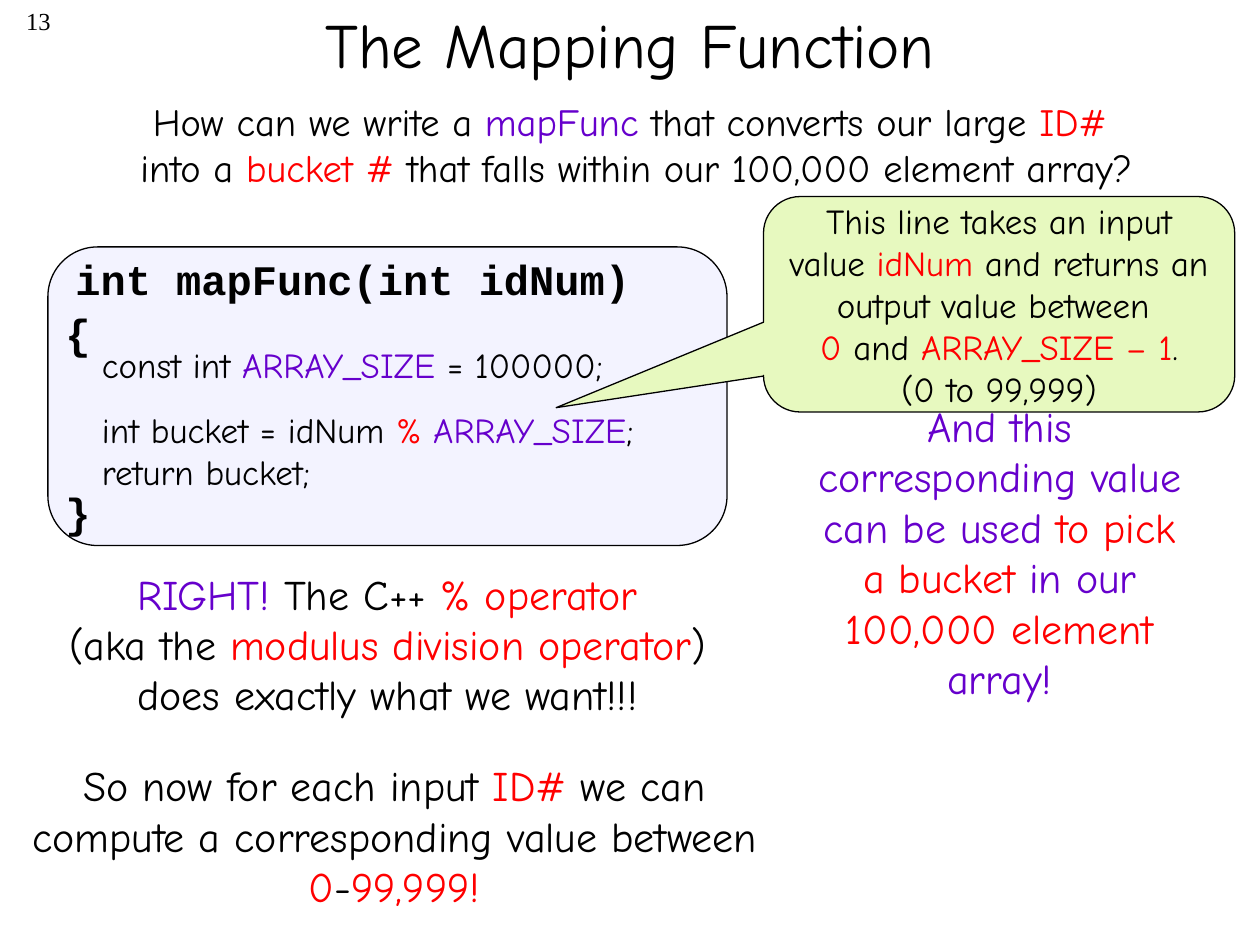
import pptx
import pptx.util
import pptx.dml.color
import pptx.enum.shapes
import pptx.enum.text

Inches = pptx.util.Inches
Pt = pptx.util.Pt
RGBColor = pptx.dml.color.RGBColor
Shape = pptx.enum.shapes.MSO_SHAPE
Align = pptx.enum.text.PP_ALIGN
Anchor = pptx.enum.text.MSO_ANCHOR

BLACK = RGBColor(0, 0, 0)
RED = RGBColor(0xFF, 0, 0)
PURPLE = RGBColor(0x66, 0, 0xCC)
LILAC = RGBColor(0xF3, 0xF3, 0xFF)
LIME = RGBColor(0xE7, 0xF9, 0xBF)
BODY = "Comic Neue"
CODE = "Courier New"
PAGE = "Times New Roman"


def write(frame, size, lines, align=Align.CENTER, face=BODY, bold=False):
    frame.word_wrap = True
    for row, line in enumerate(lines):
        para = frame.add_paragraph() if row else frame.paragraphs[0]
        para.alignment = align
        para.font.size = Pt(size)
        for words, color in line:
            for part, piece in enumerate(words.split("\n")):
                if part:
                    para.add_line_break()
                if piece:
                    run = para.add_run()
                    run.text = piece
                    run.font.name = face
                    run.font.size = Pt(size)
                    run.font.bold = bold
                    run.font.color.rgb = color


def add_text(slide, box, size, lines, **style):
    frame = slide.shapes.add_textbox(*map(Inches, box)).text_frame
    write(frame, size, lines, **style)
    return frame


def add_panel(slide, kind, box, color):
    panel = slide.shapes.add_shape(kind, *map(Inches, box))
    panel.shadow.inherit = False
    panel.fill.solid()
    panel.fill.fore_color.rgb = color
    panel.line.color.rgb = BLACK
    panel.line.width = Pt(0.75)
    return panel


def add_head(slide, box):
    left, top, width, height = box
    add_text(slide, (left, top, 0.5, 0.5), 14, [[("13", BLACK)]],
             align=Align.RIGHT, face=PAGE)
    title = add_text(slide, (left + 0.75, top - 0.28, width - 1.5, 1.25), 36,
                     [[("The Mapping Function", BLACK)]])
    title.vertical_anchor = Anchor.MIDDLE
    add_text(slide, (left + 0.29, top + 0.73, width - 0.48, height - 0.73), 22, [[
        ("How can we write a ", BLACK), ("mapFunc ", PURPLE),
        ("that converts our large ", BLACK), ("ID# \n", RED),
        ("into a ", BLACK), ("bucket # ", RED),
        ("that falls within our 100,000 element array?", BLACK)]])


def add_code(slide, box):
    left, top, width, height = box
    add_panel(slide, Shape.ROUNDED_RECTANGLE, box, LILAC)
    shell = add_text(slide, (left + 0.04, top, width, height), 24,
                     [[("int mapFunc(int idNum)", BLACK)],
                      [("{", BLACK)], [("}", BLACK)]],
                     align=Align.LEFT, face=CODE, bold=True)
    first, start, end = shell.paragraphs
    first._p.get_or_add_pPr().set("indent", str(Inches(0.08)))
    start.space_before = Pt(2)
    end.space_before = Pt(74)
    body = add_text(slide, (left + 0.33, top + 0.72, width, 1.31), 20, [
        [("const int ", BLACK), ("ARRAY_SIZE", PURPLE), (" = 100000;", BLACK)],
        [("int bucket = idNum ", BLACK), ("% ", RED),
         ("ARRAY_SIZE", PURPLE), (";", BLACK)],
        [("return bucket;", BLACK)]], align=Align.LEFT)
    body.paragraphs[1].space_before = Pt(13)


def add_callout(slide, box):
    panel = add_panel(slide, Shape.ROUNDED_RECTANGULAR_CALLOUT, box, LIME)
    for index, value in enumerate((-0.94, 0.48, 0.17)):
        panel.adjustments[index] = value
    panel.text_frame.vertical_anchor = Anchor.MIDDLE
    write(panel.text_frame, 20, [
        [("This line takes an input value ", BLACK), ("idNum", RED),
         (" and returns an output value between \n", BLACK), ("0 ", RED),
         ("and ", BLACK), ("ARRAY_SIZE – 1", RED), (".", BLACK)],
        [("(0 to 99,999)", BLACK)]])


def add_notes(slide, box):
    left, top, width, height = box
    add_text(slide, (left - 0.6, top, width + 1.2, 1.31), 24, [[
        ("RIGHT! ", PURPLE), ("The C++ ", BLACK), ("% operator \n", RED),
        ("(aka the ", BLACK), ("modulus division operator", RED),
        (") \ndoes exactly what we want!!! ", BLACK)]])
    add_text(slide, (left, top + height - 1.31, width, 1.31), 24, [[
        ("So now for each input ", BLACK), ("ID#", RED),
        (" we can compute a corresponding value between ", BLACK),
        ("0", RED), ("-", BLACK), ("99,999!", RED)]])


def add_result(slide, box):
    add_text(slide, box, 24, [[
        ("And this corresponding value can be used ", PURPLE),
        ("to pick a bucket", RED), (" in our ", PURPLE),
        ("100,000 element ", RED), ("array!", PURPLE)]])


def main():
    deck = pptx.Presentation()
    deck.slide_width = Inches(10)
    deck.slide_height = Inches(7.5)
    slide = deck.slides.add_slide(deck.slide_layouts[6])
    add_head(slide, (0, 0, 10, 1.57))
    add_code(slide, (0.38, 1.96, 5.39, 2.37))
    add_notes(slide, (0.07, 4.46, 6.12, 2.83))
    add_callout(slide, (6.06, 1.56, 3.74, 1.71))
    add_result(slide, (6.35, 3.13, 3.17, 2.52))
    deck.save("out.pptx")


if __name__ == "__main__":
    main()
